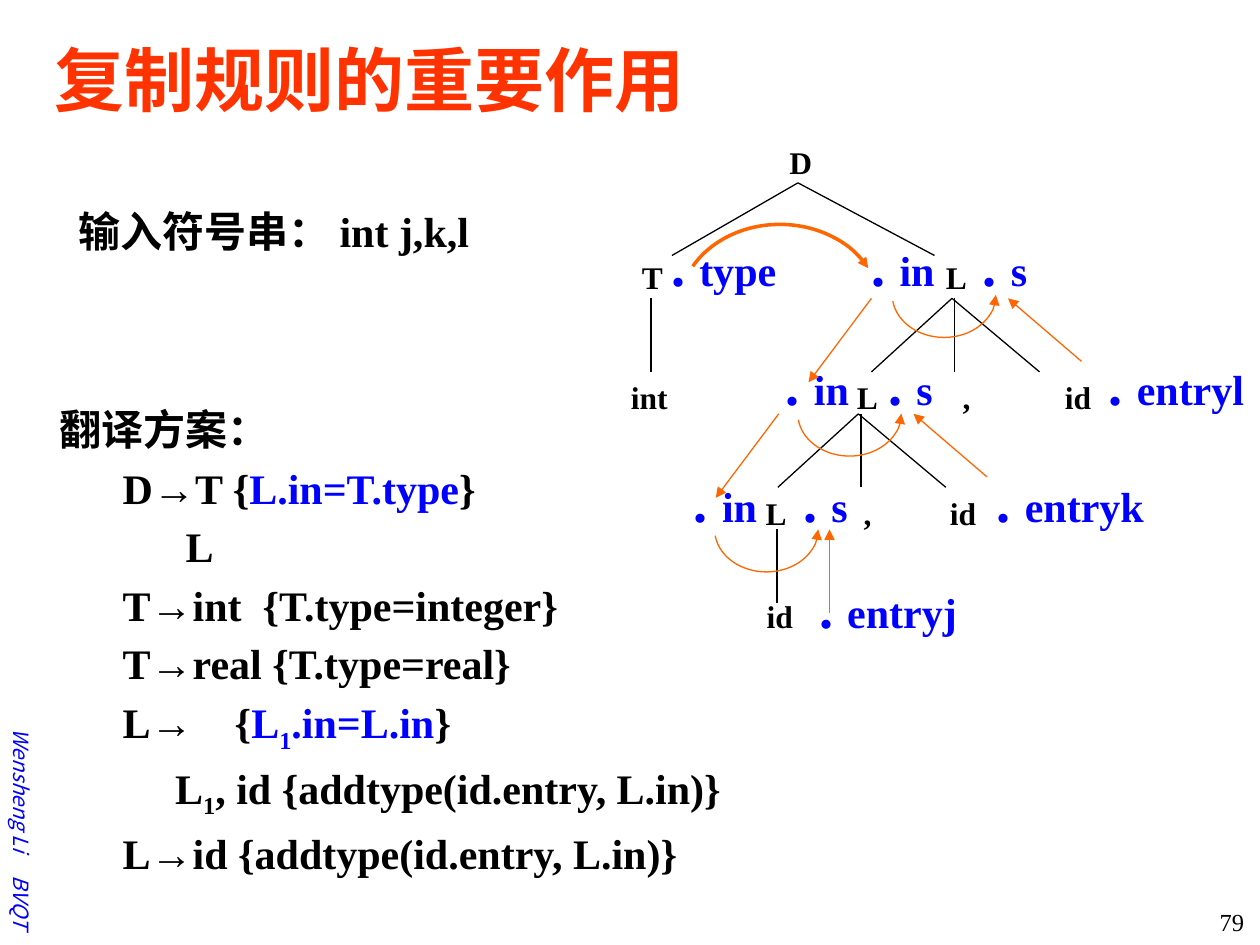
from pptx import Presentation
from pptx.dml.color import RGBColor
from pptx.enum.shapes import MSO_CONNECTOR, MSO_SHAPE
from pptx.enum.text import MSO_ANCHOR, PP_ALIGN
from pptx.oxml.ns import qn
from pptx.util import Pt
from lxml.etree import SubElement

SERIF = "Times New Roman"
SANS = "Noto Sans CJK SC"
BLACK, BLUE, RED, ORANGE = "000000", "0000FF", "FF3300", "FF6600"


def tint(code):
    return RGBColor.from_string(code)


def style(run, size, color=BLACK, bold=True, face=SERIF):
    font = run.font
    font.size, font.bold, font.name = Pt(size), bold, face
    font.color.rgb = tint(color)
    SubElement(run._r.get_or_add_rPr(), qn("a:ea")).set("typeface", SANS)


def write(para, parts):
    for text, size, color in parts:
        run = para.add_run()
        run.text = text
        style(run, size, color)


def frame(slide, x, y, wide, high, wrap=True, anchor=MSO_ANCHOR.MIDDLE):
    box = slide.shapes.add_textbox(Pt(x), Pt(y), Pt(wide), Pt(high))
    box.text_frame.word_wrap = wrap
    box.text_frame.vertical_anchor = anchor
    return box


def stroke(shape, color, width, end=None):
    shape.line.color.rgb = tint(color)
    shape.line.width = Pt(width)
    if end:
        line = shape.line._get_or_add_ln()
        SubElement(line, qn("a:" + end)).set("type", "triangle")


def link(slide, x1, y1, x2, y2, color=BLACK, end=None):
    line = slide.shapes.add_connector(
        MSO_CONNECTOR.STRAIGHT, Pt(x1), Pt(y1), Pt(x2), Pt(y2))
    stroke(line, color, 0.75, end)
    SubElement(line._element.spPr, qn("a:effectLst"))


def bow(slide, x, y, rx, ry, start, stop, width, end):
    arc = slide.shapes.add_shape(
        MSO_SHAPE.ARC, Pt(x - rx), Pt(y - ry), Pt(2 * rx), Pt(2 * ry))
    arc.adjustments[0] = start * 0.6
    arc.adjustments[1] = stop * 0.6
    arc.shadow.inherit = False
    arc.fill.background()
    stroke(arc, ORANGE, width, end)


def head(slide, x, y, wide, high):
    title = slide.shapes.title
    title.left, title.top, title.width, title.height = map(Pt, (x, y, wide, high))
    body = title.text_frame
    body.text = "复制规则的重要作用"
    body.vertical_anchor = MSO_ANCHOR.MIDDLE
    para = body.paragraphs[0]
    para.alignment = PP_ALIGN.LEFT
    style(para.runs[0], 40, RED, face=SANS)


def scheme(slide, x, y, wide, high):
    rows = [
        (0, [("翻译方案：", BLACK)]),
        (36, [("D→T {", BLACK), ("L.in=T.type", BLUE), ("}", BLACK)]),
        (72, [("L", BLACK)]),
        (36, [("T→int  {T.type=integer}", BLACK)]),
        (36, [("T→real {T.type=real}", BLACK)]),
        (36, [("L→\t{", BLACK), ("L", BLUE), ("1", BLUE), (".in=L.in", BLUE), ("}", BLACK)]),
        (66, [("L", BLACK), ("1", BLACK), (", id {addtype(id.entry, L.in)}", BLACK)]),
        (36, [("L→id {addtype(id.entry, L.in)}", BLACK)]),
    ]
    body = frame(slide, x, y, wide, high, anchor=MSO_ANCHOR.TOP).text_frame
    for n, (inset, parts) in enumerate(rows):
        para = body.add_paragraph() if n else body.paragraphs[0]
        para.space_before = Pt(4.7)
        write(para, [(text, 24, color) for text, color in parts])
        props = para._p.get_or_add_pPr()
        props.set("marL", str(Pt(inset)))
        for run in para.runs:
            if run.text == "1":
                run._r.get_or_add_rPr().set("baseline", "-25000")
            if "\t" in run.text:
                stop = SubElement(SubElement(props, qn("a:tabLst")), qn("a:tab"))
                stop.set("pos", str(Pt(64)))
                stop.set("algn", "l")


def tree(slide, x, y):
    nodes = [
        (0, [("D", 90)]),
        (66, [("T", 5.7), ("L", 179.4)]),
        (134.4, [("int", -0.6), ("L", 128.5), (",", 189), ("id", 247.4)]),
        (200.6, [("L", 76.5), (",", 132.5), ("id", 181.7)]),
        (259.7, [("id", 77)]),
    ]
    for top, names in nodes:
        for name, left in names:
            box = frame(slide, x + left, y + top, 42, 28.8, False)
            write(box.text_frame.paragraphs[0], [(name, 18, BLACK)])

    for dx in (-72, 78):
        link(slide, x + 102, y + 26.5, x + 102 + dx, y + 68)
    for px, py in ((190, 92.5), (136.5, 158.5)):
        for start, dx in ((0, -46), (0, 50), (1.5, 1.5)):
            link(slide, x + px + start, y + py, x + px + dx, y + py + 42)
    for px, py in ((18, 92.5), (90, 224.5)):
        link(slide, x + px, y + py, x + px, y + py + 42)

    marks = [
        ("type", 22.5, 50), ("in", 137, 50), ("s", 200.5, 50),
        ("in", 88, 118.5), ("s", 146.5, 118.5), ("entryl", 272.5, 118),
        ("in", 35.5, 185), ("s", 98, 185), ("entryk", 208.5, 185),
        ("entryj", 107, 245.5),
    ]
    sizes = {"type": 82, "in": 58, "s": 50, "entryl": 93.5, "entryk": 106, "entryj": 106}
    for name, left, top in marks:
        box = frame(slide, x + left, y + top, sizes[name], 45.4, False)
        write(box.text_frame.paragraphs[0], [(". ", 32, BLUE), (name, 24, BLUE)])

    bow(slide, x + 91.7, y + 98.4, 57.6, 48.2, 206, 335.4, 2, "tailEnd")
    for px, py in ((185.5, 90.5), (131.5, 158.3), (84, 224.5)):
        bow(slide, x + px, y + py, 29.6, 24.3, 0, 173, 0.75, "headEnd")
    flows = [
        (144, 92.5, -36, 48), (91, 158.5, -36, 48),
        (264, 128.5, -42, -36), (210, 194.5, -42, -36),
        (120, 272.5, 0, -48),
    ]
    for px, py, dx, dy in flows:
        link(slide, x + px, y + py, x + px + dx, y + py + dy, ORANGE, "tailEnd")


def prompt(slide, x, y, wide, high):
    box = frame(slide, x, y, wide, high)
    write(box.text_frame.paragraphs[0], [("输入符号串： int j,k,l", 24, BLACK)])


def side(slide, mid, ends):
    long, high = 100, 21.6
    for text, end in ends:
        box = frame(slide, mid - long / 2, end - long / 2 - high / 2, long, high)
        box.rotation = 90
        para = box.text_frame.paragraphs[0]
        para.text = text
        para.alignment = PP_ALIGN.RIGHT
        style(para.runs[0], 12, BLUE, False, SANS)
        para.runs[0].font.italic = True


def page(slide, x, y, wide, high):
    box = frame(slide, x, y, wide, high, anchor=MSO_ANCHOR.TOP)
    para = box.text_frame.paragraphs[0]
    para.text = "79"
    para.alignment = PP_ALIGN.RIGHT
    style(para.runs[0], 14, bold=False)


def main():
    deck = Presentation()
    deck.slide_width, deck.slide_height = Pt(720), Pt(540)
    slide = deck.slides.add_slide(deck.slide_layouts[5])
    head(slide, 24, 12, 678, 66)
    side(slide, 12.5, [("Wensheng Li", 494), ("BVQT", 538)])
    page(slide, 650.5, 515, 67.5, 21.6)
    scheme(slide, 27, 227, 450, 291)
    tree(slide, 354, 78)
    prompt(slide, 37.5, 114, 298, 36)
    deck.save("out.pptx")


if __name__ == "__main__":
    main()
